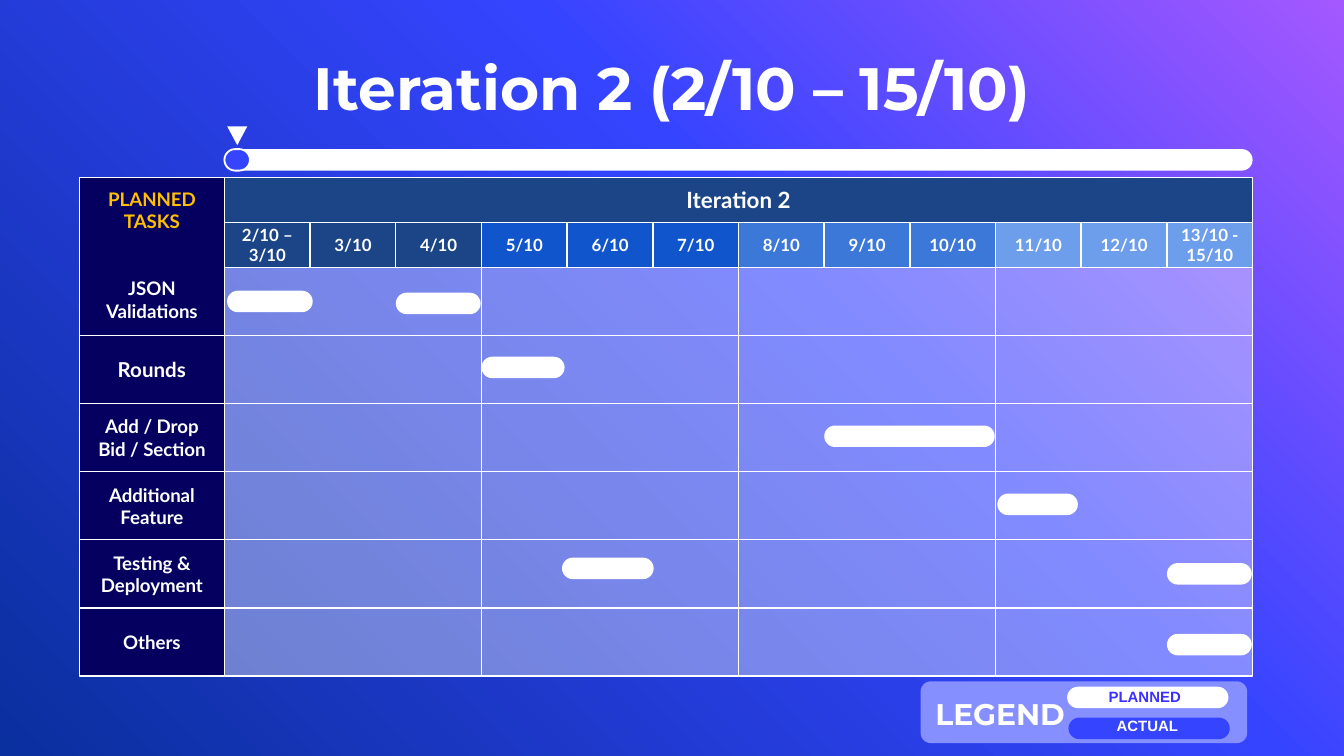
from copy import deepcopy
from pptx import Presentation
from pptx.dml.color import RGBColor
from pptx.enum.shapes import MSO_SHAPE
from pptx.enum.text import MSO_ANCHOR, MSO_AUTO_SIZE, PP_ALIGN
from pptx.oxml.ns import qn
from pptx.util import Inches, Pt
from lxml import etree

WHITE = RGBColor(0xFF, 0xFF, 0xFF)
PURPLE = RGBColor(0xA4, 0x58, 0xFF)
BLUE = RGBColor(0x35, 0x44, 0xFF)
DEEP_BLUE = RGBColor(0x0A, 0x2F, 0x9E)
NAVY = RGBColor(0x05, 0x00, 0x60)
GOLD = RGBColor(0xFF, 0xC0, 0x00)
LILAC = RGBColor(0x86, 0x8F, 0xFF)
INDIGO = RGBColor(0x3B, 0x30, 0xFF)

RECT = MSO_SHAPE.RECTANGLE
ROUNDED = MSO_SHAPE.ROUNDED_RECTANGLE
HALF_ROUNDED = MSO_SHAPE.ROUND_2_SAME_RECTANGLE
TRIANGLE = MSO_SHAPE.ISOSCELES_TRIANGLE
MIDDLE, BOTTOM, TOP = MSO_ANCHOR.MIDDLE, MSO_ANCHOR.BOTTOM, MSO_ANCHOR.TOP
CENTER, LEFT = PP_ALIGN.CENTER, PP_ALIGN.LEFT
NO_FIT = MSO_AUTO_SIZE.NONE

TITLE = "Iteration 2 (2/10 – 15/10)"
ITERATION = "Iteration 2"
TASK_HEADING = "PLANNED TASKS"
FIRST_TASK = "JSON Validations"
OTHER_TASKS = [
    ("Rounds", 11),
    ("Add / Drop Bid / Section", 10),
    ("Additional Feature", 10),
    ("Testing & Deployment", 10),
    ("Others", 10),
]
PHASES = [
    (RGBColor(0x1C, 0x45, 0x87), ["2/10 – 3/10", "3/10", "4/10"]),
    (RGBColor(0x11, 0x55, 0xCC), ["5/10", "6/10", "7/10"]),
    (RGBColor(0x3C, 0x78, 0xD8), ["8/10", "9/10", "10/10"]),
    (RGBColor(0x6D, 0x9E, 0xEB), ["11/10", "12/10", "13/10 - 15/10"]),
]
PLANNED_BARS = [
    dict(row=0, start=0.03, days=1, share=0.5),
    dict(row=0, start=2, days=0.99, share=0.53),
    dict(row=1, start=3, days=0.97, share=0.47),
    dict(row=2, start=7, days=1.99, share=0.48),
    dict(row=3, start=9.02, days=0.94, share=0.48),
    dict(row=4, start=3.94, days=1.07, share=0.42),
    dict(row=4, start=11, days=0.99, share=0.5),
    dict(row=5, start=11, days=0.99, share=0.54),
]
LEGEND = [
    ("PLANNED", WHITE, INDIGO, 7.94, 5.19, 8.15, 5.07, 0.84),
    ("ACTUAL", BLUE, WHITE, 7.95, 5.42, 8.21, 5.28, 0.69),
]

SLIDE_W = 10
SLIDE_H = SLIDE_W * 9 / 16
TASK_X, GRID_X, GRID_W = 0.59, 1.67, 7.65
HEAD_Y, GRID_Y, GRID_BOTTOM = 1.32, 1.99, 5.03
TASK_W = GRID_X - TASK_X
HEAD_H = (GRID_Y - HEAD_Y) / 2
DAY_W = GRID_W / sum(len(days) for _, days in PHASES)
ROW_H = (GRID_BOTTOM - GRID_Y) / (len(OTHER_TASKS) + 1)
BAR_H, TIMELINE_Y = 0.16, 1.19


def add_block(shapes, kind, x, y, w, h, fill, outline=None):
    block = shapes.add_shape(kind, Inches(x), Inches(y), Inches(w), Inches(h))
    block.shadow.inherit = False
    block.fill.solid()
    block.fill.fore_color.rgb = fill
    if outline:
        block.line.color.rgb = WHITE
        block.line.width = Pt(outline)
    else:
        block.line.fill.background()
    return block


def add_bar(shapes, x, center_y, w, h, fill, outline=None):
    bar = add_block(shapes, HALF_ROUNDED, x + (w - h) / 2, center_y - w / 2, h, w, fill, outline)
    bar.rotation = 90
    bar.adjustments[0] = bar.adjustments[1] = 0.5


def write(frame, lines, size, font, anchor=MIDDLE, align=CENTER, inset=(0.1, 0.1), gap=0):
    frame.word_wrap = True
    frame.vertical_anchor = anchor
    frame.margin_left = frame.margin_right = Inches(inset[0])
    frame.margin_top = frame.margin_bottom = Inches(inset[1])
    for index, (text, color) in enumerate(lines):
        paragraph = frame.add_paragraph() if index else frame.paragraphs[0]
        paragraph.alignment = align
        paragraph.space_before = Pt(gap if index else 0)
        run = paragraph.add_run()
        run.text = text
        run.font.size = Pt(size)
        run.font.name = font
        run.font.bold = True
        run.font.color.rgb = color


def add_cell(shapes, x, y, w, h, fill, lines, size, anchor=MIDDLE, gap=0):
    cell = add_block(shapes, RECT, x, y, w, h, fill, 0.75)
    write(cell.text_frame, lines, size, "Lato", anchor, gap=gap)


def add_label(shapes, x, y, w, h, text, color, size, font, anchor, inset):
    label = shapes.add_textbox(Inches(x), Inches(y), Inches(w), Inches(h))
    write(label.text_frame, [(text, color)], size, font, anchor, LEFT, inset)


def paint_background(slide):
    fill = slide.background.fill
    fill.gradient()
    fill.gradient_angle = 225
    stops = slide.element.find(".//" + qn("a:gsLst"))
    stops.insert(1, deepcopy(stops[0]))
    for stop, (color, position) in zip(
        fill.gradient_stops, [(PURPLE, 0), (BLUE, 0.39), (DEEP_BLUE, 1)]
    ):
        stop.color.rgb = color
        stop.position = position


def build():
    deck = Presentation()
    deck.slide_width, deck.slide_height = Inches(SLIDE_W), Inches(SLIDE_H)
    slide = deck.slides.add_slide(deck.slide_layouts[5])
    shapes = slide.shapes
    paint_background(slide)

    title = shapes.title
    title.left, title.top = Inches(0), Inches(0.21)
    title.width, title.height = Inches(SLIDE_W), Inches(0.7)
    title.text_frame.auto_size = NO_FIT
    write(title.text_frame, [(TITLE, WHITE)], 32, "Montserrat", BOTTOM, inset=(0, 0))

    add_bar(shapes, GRID_X, TIMELINE_Y, GRID_W, BAR_H, WHITE)
    add_bar(shapes, GRID_X, TIMELINE_Y, 0.19, BAR_H, BLUE, 1)
    add_block(shapes, TRIANGLE, 1.69, 0.94, 0.15, 0.14, WHITE).rotation = 180

    add_cell(shapes, GRID_X, HEAD_Y, GRID_W, HEAD_H, PHASES[0][0], [(ITERATION, WHITE)], 12)
    day_x = GRID_X
    for color, days in PHASES:
        phase_w = DAY_W * len(days)
        for row in range(len(OTHER_TASKS) + 1):
            cell = add_block(shapes, RECT, day_x, GRID_Y + row * ROW_H, phase_w, ROW_H, WHITE, 0.75)
            tint = cell.element.spPr.find(qn("a:solidFill"))[0]
            etree.SubElement(tint, qn("a:alpha"), val="38000")
        for day in days:
            add_cell(shapes, day_x, HEAD_Y + HEAD_H, DAY_W, HEAD_H, color, [(day, WHITE)], 9)
            day_x += DAY_W

    add_cell(shapes, TASK_X, HEAD_Y, TASK_W, GRID_Y + ROW_H - HEAD_Y, NAVY,
             [(TASK_HEADING, GOLD), (FIRST_TASK, WHITE)], 10, BOTTOM, 24)
    for row, (task, size) in enumerate(OTHER_TASKS, 1):
        add_cell(shapes, TASK_X, GRID_Y + row * ROW_H, TASK_W, ROW_H, NAVY, [(task, WHITE)], size)

    for bar in PLANNED_BARS:
        add_bar(shapes, GRID_X + bar["start"] * DAY_W, GRID_Y + (bar["row"] + bar["share"]) * ROW_H,
                bar["days"] * DAY_W, BAR_H, WHITE)

    add_block(shapes, ROUNDED, 6.85, 5.07, 2.43, 0.46, LILAC)
    legend = shapes.add_group_shape().shapes
    add_label(legend, 6.96, 5.01, 1.34, 0.43, "LEGEND", WHITE, 16, "Montserrat", BOTTOM, (0, 0))
    for name, fill, color, bar_x, bar_y, x, y, w in LEGEND:
        add_bar(legend, bar_x, bar_y, 1.2, BAR_H, fill)
        add_label(legend, x, y, w, 0.24, name, color, 8, "Arial", TOP, (0.1, 0.05))

    deck.save("out.pptx")


if __name__ == "__main__":
    build()
